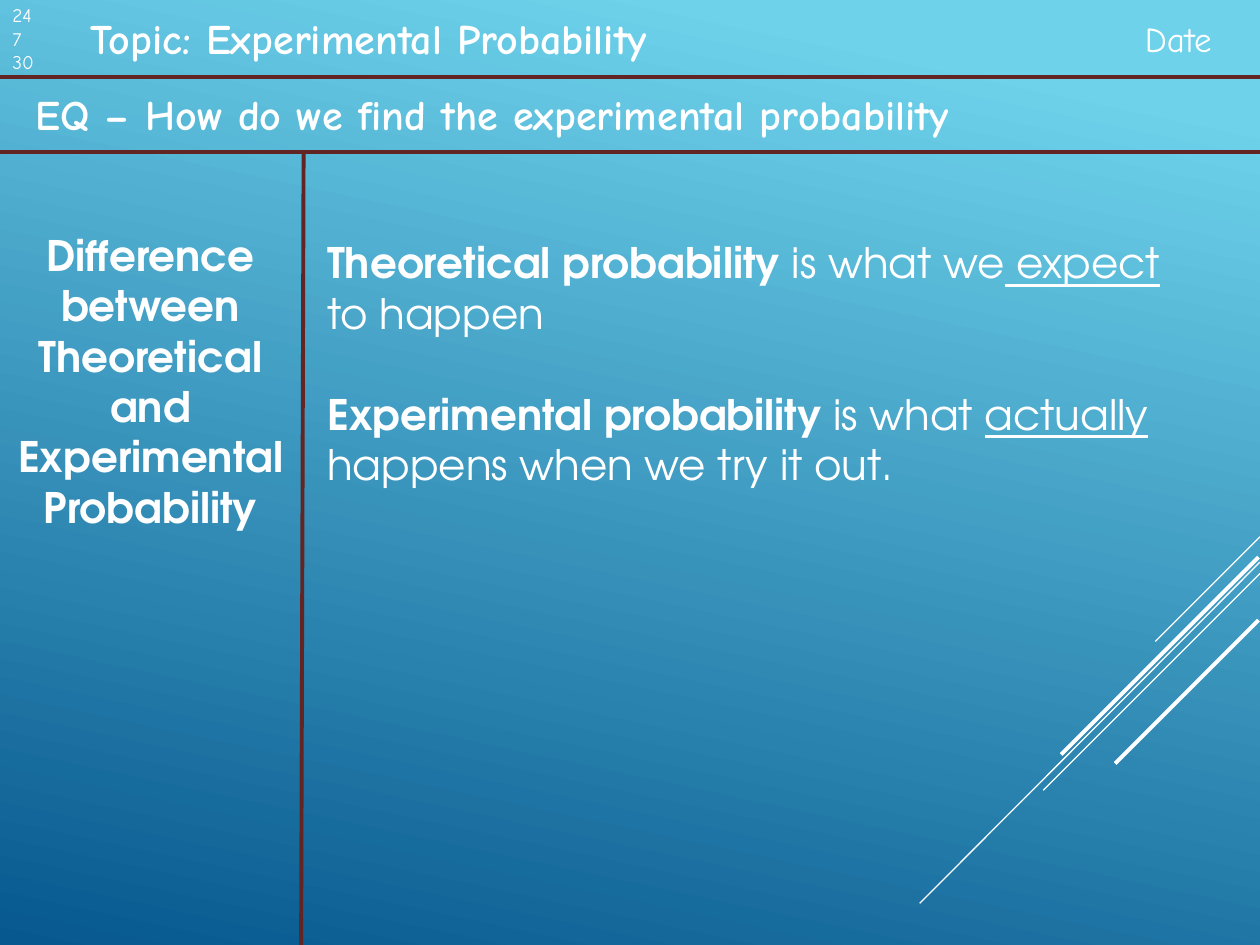
from lxml import etree
from pptx import Presentation
from pptx.dml.color import RGBColor
from pptx.enum.shapes import MSO_CONNECTOR
from pptx.enum.text import MSO_AUTO_SIZE, PP_ALIGN
from pptx.oxml.ns import qn
from pptx.util import Cm, Pt

STRAIGHT = MSO_CONNECTOR.STRAIGHT
GROW = MSO_AUTO_SIZE.SHAPE_TO_FIT_TEXT
LEFT, CENTER = PP_ALIGN.LEFT, PP_ALIGN.CENTER

WIDTH, HEIGHT = 25.4, 19.05
WHITE, MAROON = "FFFFFF", "632523"
HAND, SANS = "Comic Neue", "TeX Gyre Adventor"
THIN, THICK = 0.75, 2.25
TOPIC_RULE, QUESTION_RULE = 1.55, 3.07

DECOR_LINES = [
    (25.4, 10.82, 23.29, 12.93, THIN),
    (25.4, 11.33, 18.54, 18.21, THIN),
    (25.4, 11.56, 21.03, 15.93, THIN),
    (25.37, 11.23, 21.39, 15.21, THICK),
    (25.37, 12.5, 22.48, 15.39, THICK),
]
DIVIDERS = [
    (0, TOPIC_RULE, WIDTH, TOPIC_RULE),
    (0, QUESTION_RULE, WIDTH, QUESTION_RULE),
    (6.12, QUESTION_RULE, 6.07, HEIGHT),
]
DEFINITIONS = [
    [("Theoretical probability ", "bold"), ("is what we", ""),
     (" expect ", "underline"), ("to happen", "")],
    [("Experimental probability ", "bold"), ("is what ", ""),
     ("actually", "underline"), (" happens when we try it out.", "")],
]


def color(value):
    return RGBColor.from_string(value)


def paint_background(page):
    fill = page.background.fill
    fill.gradient()
    fill.gradient_angle = 258
    stops = [(0.1, "6ED2EB"), (1, "06588E")]
    for stop, (position, value) in zip(fill.gradient_stops, stops):
        stop.position = position
        stop.color.rgb = color(value)


def add_line(page, x1, y1, x2, y2, weight, value):
    line = page.shapes.add_connector(STRAIGHT, Cm(x1), Cm(y1), Cm(x2), Cm(y2))
    line.line.width = Pt(weight)
    line.line.color.rgb = color(value)
    etree.SubElement(line._element.spPr, qn("a:effectLst"))


def add_text(page, area, paragraphs, size, font, bold=None, align=LEFT, wrap=True, gap=0):
    box = page.shapes.add_textbox(*map(Cm, area))
    frame = box.text_frame
    frame.word_wrap = wrap
    frame.auto_size = GROW
    for index, spans in enumerate(paragraphs):
        para = frame.add_paragraph() if index else frame.paragraphs[0]
        para.alignment = align
        if index and gap:
            para.space_before = Pt(gap)
        para.font.size = Pt(size)
        para.font.name = font
        para.font.bold = bold
        para.font.color.rgb = color(WHITE)
        for text, style in spans:
            span = para.add_run()
            span.text = text
            if style == "bold":
                span.font.bold = True
            elif style == "underline":
                span.font.underline = True


def add_label(page, area, lines, size, font, **options):
    add_text(page, area, [[(line, "")] for line in lines], size, font, **options)


def main():
    deck = Presentation()
    deck.slide_width, deck.slide_height = Cm(WIDTH), Cm(HEIGHT)
    page = deck.slides.add_slide(deck.slide_layouts[6])
    paint_background(page)
    for line in DECOR_LINES:
        add_line(page, *line, WHITE)
    for line in DIVIDERS:
        add_line(page, *line, THICK, MAROON)

    add_label(page, (0, -0.05, 1.42, 1.68), ["24", "7", "30"], 11, HAND)
    add_label(page, (22.83, 0.23, 2.31, 1.12), ["Date"], 20, HAND)
    add_label(page, (0.46, 1.65, 24, 1.27),
              ["EQ – How do we find the experimental probability"], 24, HAND, bold=True)
    add_label(page, (1.57, 0.13, 13.03, 1.27),
              ["Topic: Experimental Probability"], 24, HAND, bold=True, wrap=False)
    add_label(page, (0, 4.5, 6.07, 5.38),
              ["Difference between Theoretical and Experimental Probability"],
              24, SANS, bold=True, align=CENTER)
    add_text(page, (6.35, 4.65, 18.11, 6.4), DEFINITIONS, 24, SANS, gap=28.8)
    deck.save("out.pptx")


if __name__ == "__main__":
    main()
